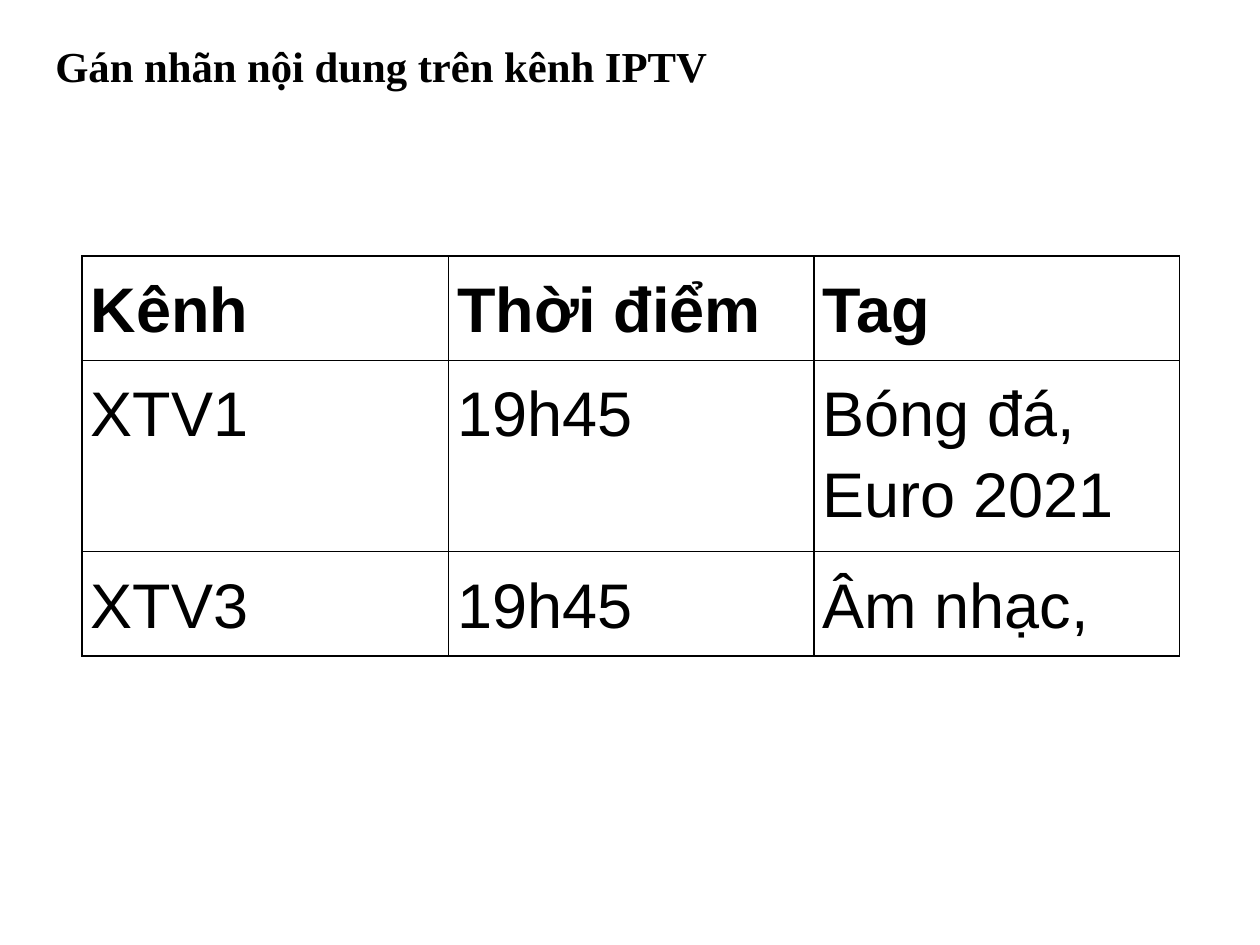
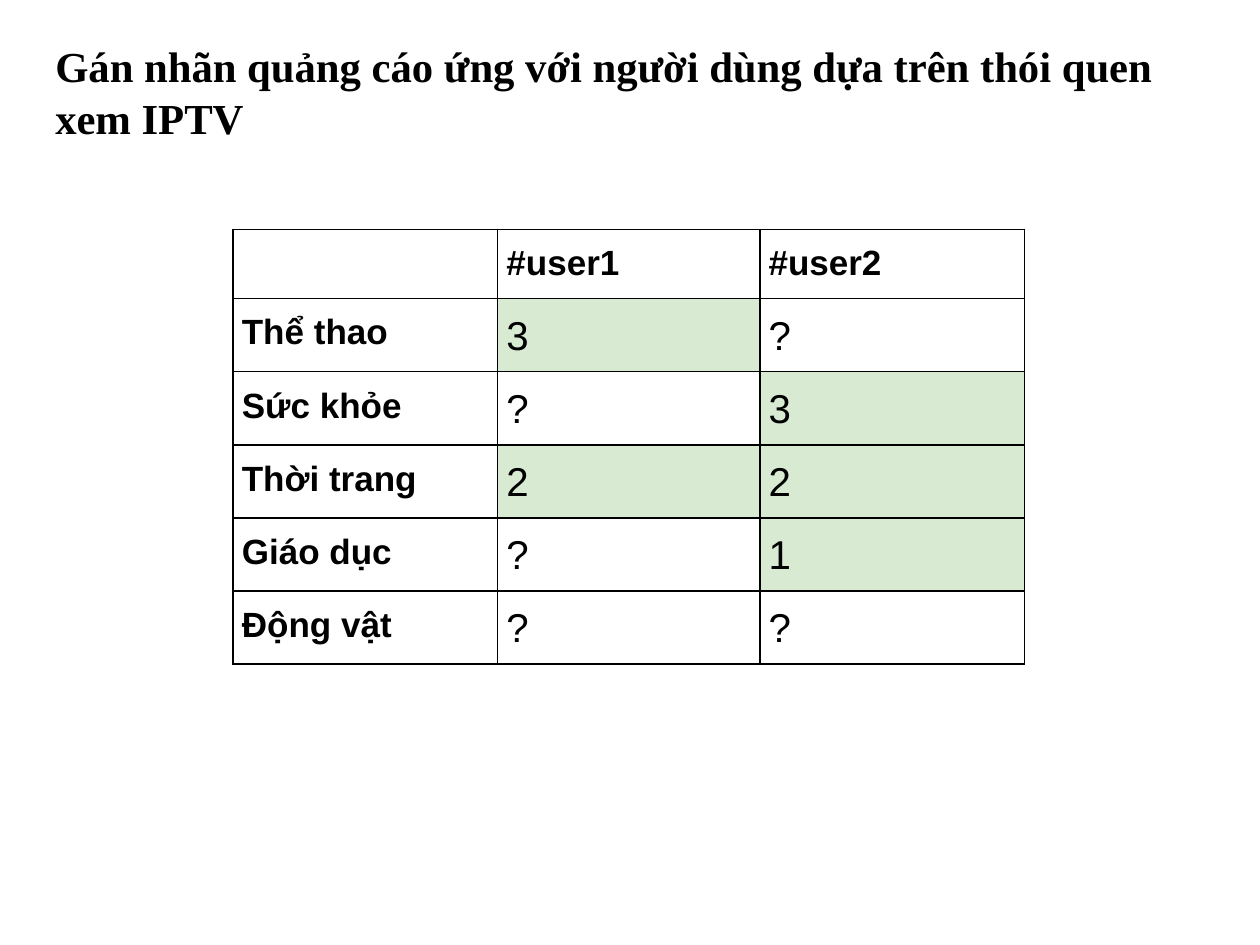
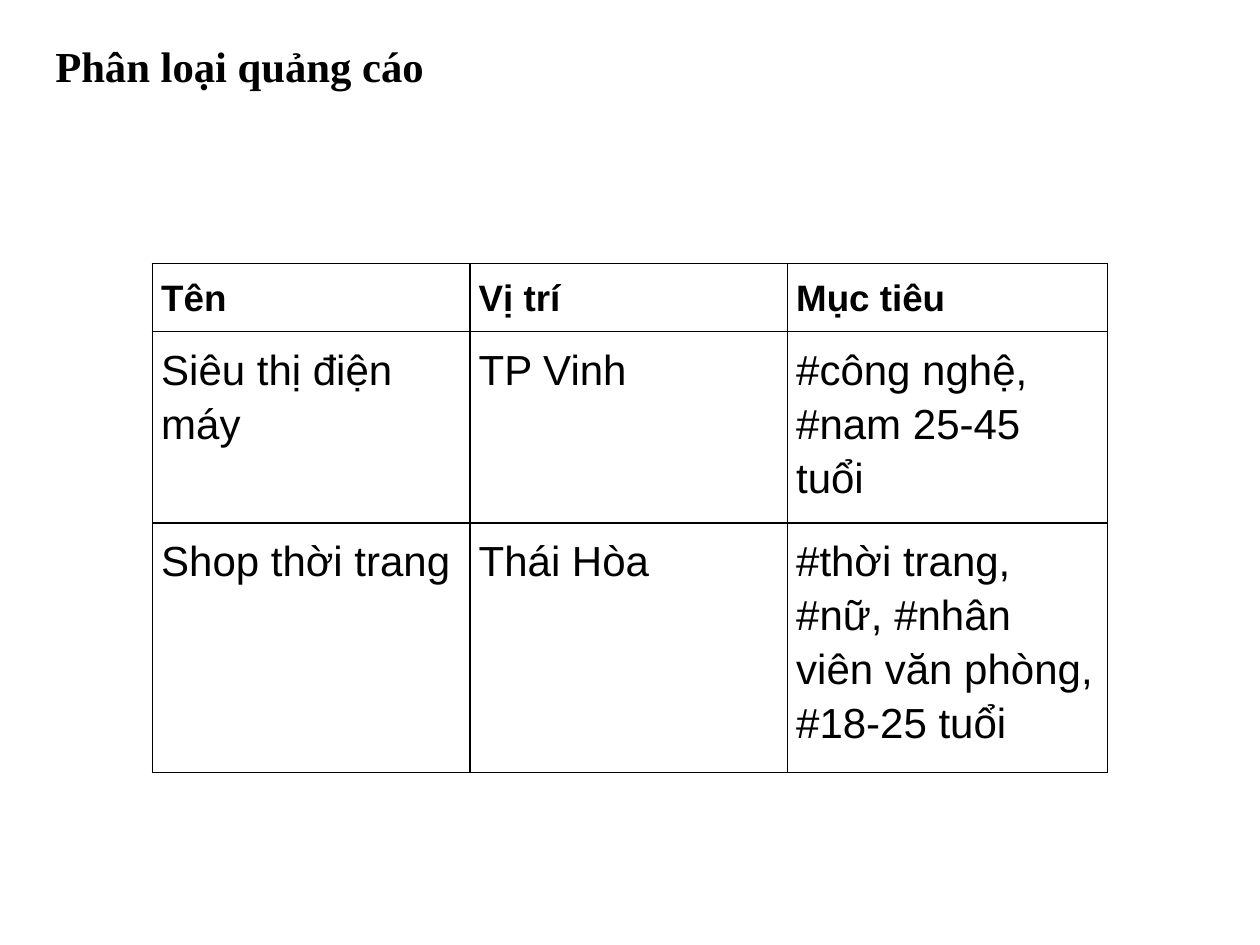
from dataclasses import dataclass

from lxml import etree
from pptx import Presentation
from pptx.dml.color import RGBColor
from pptx.enum.text import MSO_ANCHOR
from pptx.oxml.ns import qn
from pptx.util import Inches, Pt

TOP = MSO_ANCHOR.TOP
BORDER_TAGS = ("a:lnL", "a:lnR", "a:lnT", "a:lnB")
BLANK_LAYOUT = 6


@dataclass(frozen=True)
class Theme:
    """Colours, fonts and sizes shared by every slide."""

    ink: str = "000000"
    highlight: str = "D9EAD3"
    title_font: str = "Times New Roman"
    table_font: str = "Arial"
    title_size: float = 24.4
    title_inset: float = 0.1
    cell_inset: float = 0.07
    cell_line_spacing: float = 1.15
    cell_space_after: float = 12
    border_width: float = 1


@dataclass(frozen=True)
class TableSize:
    """Measures and type sizes of one table."""

    left: float
    top: float
    columns: tuple
    rows: tuple
    label_size: float
    value_size: float


class TableDeck:
    """Builds titled slides that each hold one table."""

    def __init__(self, theme):
        """Start an empty deck in the given theme."""
        self.theme = theme
        self.deck = Presentation()
        self.deck.slide_width = Inches(10)
        self.deck.slide_height = Inches(7.5)
        self.page = None

    def add_page(self, title):
        """Add a blank page with its title."""
        self.page = self.deck.slides.add_slide(self.deck.slide_layouts[BLANK_LAYOUT])
        box = self.page.shapes.add_textbox(Inches(0.34), Inches(0.22), Inches(9.32), Inches(0.83))
        frame = box.text_frame
        frame.word_wrap = True
        frame.vertical_anchor = TOP
        self.set_insets(frame, self.theme.title_inset)
        self.add_span(frame.paragraphs[0], title, self.theme.title_font, self.theme.title_size, True)

    def add_table(self, size, content, bold_first_column=False):
        """Add a bordered table with a bold header row and highlighted numbers."""
        frame = self.page.shapes.add_table(
            len(size.rows), len(size.columns), Inches(size.left), Inches(size.top),
            Inches(sum(size.columns)), Inches(sum(size.rows)))
        table = frame.table
        table.first_row = False
        table.horz_banding = False
        for column, width in zip(table.columns, size.columns):
            column.width = Inches(width)
        for row, height in zip(table.rows, size.rows):
            row.height = Inches(height)
        for row_index, texts in enumerate(content):
            for column_index, text in enumerate(texts):
                is_label = row_index == 0 or (bold_first_column and column_index == 0)
                type_size = size.label_size if is_label else size.value_size
                self.fill_cell(table.cell(row_index, column_index), text, type_size, is_label)

    def fill_cell(self, cell, text, type_size, bold):
        """Write and style one table cell."""
        self.set_insets(cell, self.theme.cell_inset)
        cell.vertical_anchor = TOP
        self.add_borders(cell)
        if text.isdigit():
            cell.fill.solid()
            cell.fill.fore_color.rgb = RGBColor.from_string(self.theme.highlight)
        else:
            cell.fill.background()
        if text:
            para = cell.text_frame.paragraphs[0]
            para.line_spacing = self.theme.cell_line_spacing
            para.space_after = Pt(self.theme.cell_space_after)
            self.add_span(para, text, self.theme.table_font, type_size, bold)

    def add_borders(self, cell):
        """Draw a solid line on all four sides of a cell."""
        properties = cell._tc.get_or_add_tcPr()
        for tag in BORDER_TAGS:
            line = etree.SubElement(properties, qn(tag), w=str(Pt(self.theme.border_width)))
            fill = etree.SubElement(line, qn("a:solidFill"))
            etree.SubElement(fill, qn("a:srgbClr"), val=self.theme.ink)

    def add_span(self, para, text, font, size, bold):
        """Add one run of styled text."""
        span = para.add_run()
        span.text = text
        span.font.name = font
        span.font.size = Pt(size)
        span.font.bold = bold
        span.font.color.rgb = RGBColor.from_string(self.theme.ink)

    def set_insets(self, holder, inset):
        """Set equal margins on a text frame or cell."""
        holder.margin_left = holder.margin_right = Inches(inset)
        holder.margin_top = holder.margin_bottom = Inches(inset)


def main():
    """Build the three slides and save the deck."""
    builder = TableDeck(Theme())

    builder.add_page("Gán nhãn nội dung trên kênh IPTV")
    builder.add_table(
        TableSize(0.65, 2.03, (2.91, 2.9, 2.9), (0.78, 1.42, 0.78), 36, 36),
        [
            ("Kênh", "Thời điểm", "Tag"),
            ("XTV1", "19h45", "Bóng đá, Euro 2021"),
            ("XTV3", "19h45", "Âm nhạc,"),
        ])

    builder.add_page("Gán nhãn quảng cáo ứng với người dùng dựa trên thói quen xem IPTV")
    builder.add_table(
        TableSize(1.85, 1.82, (2.1, 2.08, 2.1), (0.55,) * 6, 20, 23),
        [
            ("", "#user1", "#user2"),
            ("Thể thao", "3", "?"),
            ("Sức khỏe", "?", "3"),
            ("Thời trang", "2", "2"),
            ("Giáo dục", "?", "1"),
            ("Động vật", "?", "?"),
        ],
        bold_first_column=True)

    builder.add_page("Phân loại quảng cáo")
    builder.add_table(
        TableSize(1.21, 2.09, (2.52, 2.52, 2.54), (0.51, 1.42, 1.85), 21, 24),
        [
            ("Tên", "Vị trí", "Mục tiêu"),
            ("Siêu thị điện máy", "TP Vinh", "#công nghệ, #nam 25-45 tuổi"),
            ("Shop thời trang", "Thái Hòa", "#thời trang, #nữ, #nhân viên văn phòng, #18-25 tuổi"),
        ])

    builder.deck.save("out.pptx")


if __name__ == "__main__":
    main()
